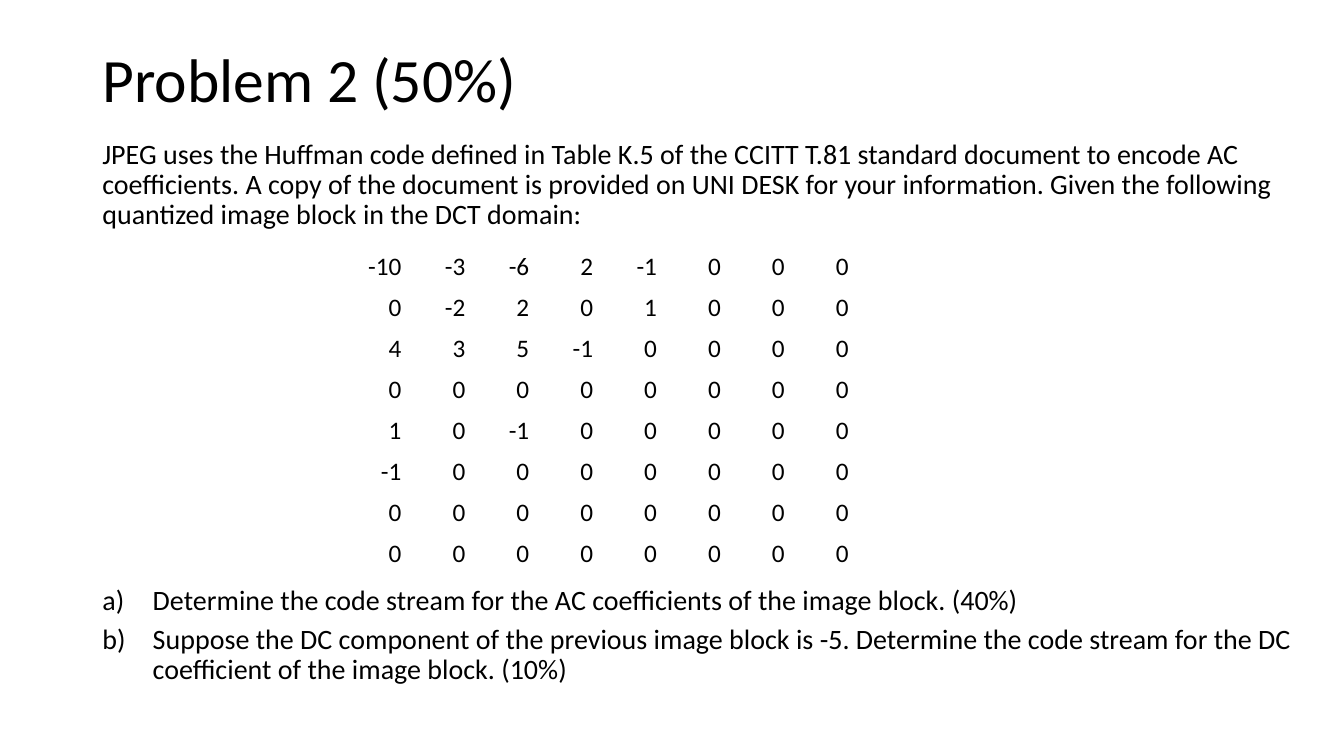
import dataclasses

import pptx
import pptx.dml.color
import pptx.enum.text
import pptx.oxml
import pptx.oxml.ns
import pptx.util

Cm = pptx.util.Cm
Pt = pptx.util.Pt
Align = pptx.enum.text.PP_ALIGN
Anchor = pptx.enum.text.MSO_ANCHOR


@dataclasses.dataclass(frozen=True)
class Theme:
    font: str = "Calibri"
    text: str = "000000"
    title_size: int = 44
    body_size: int = 20
    table_size: int = 18


theme = Theme()


def write_text(frame, *lines, size, align=Align.LEFT, anchor=Anchor.TOP,
               line_spacing=None, space_after=0, lettered=False):
    """Fill a text frame with one paragraph per line, lettered a), b) on request."""
    frame.word_wrap = True
    frame.vertical_anchor = anchor
    for index, line in enumerate(lines):
        paragraph = frame.paragraphs[0] if index == 0 else frame.add_paragraph()
        paragraph.alignment = align
        paragraph.line_spacing = line_spacing
        paragraph.space_after = Pt(space_after)
        run = paragraph.add_run()
        run.text = line
        run.font.name = theme.font
        run.font.size = Pt(size)
        run.font.color.rgb = pptx.dml.color.RGBColor.from_string(theme.text)
        if lettered:
            properties = paragraph._p.get_or_add_pPr()
            properties.set("marL", str(Cm(1.27)))
            properties.set("indent", str(-Cm(1.27)))
            numbering = pptx.oxml.parse_xml(
                f'<a:buAutoNum {pptx.oxml.ns.nsdecls("a")} type="alphaLcParenR"/>')
            properties.append(numbering)


presentation = pptx.Presentation()
presentation.slide_width = Cm(33.87)
presentation.slide_height = Cm(19.05)
slide = presentation.slides.add_slide(presentation.slide_layouts[6])

left = Cm(2.33)
body_width = Cm(30.78)

# Heading and introduction
title = slide.shapes.add_textbox(left, Cm(1.01), Cm(29.21), Cm(2.13))
write_text(title.text_frame, "Problem 2 (50%)", size=theme.title_size,
           anchor=Anchor.MIDDLE, line_spacing=0.9)

introduction = slide.shapes.add_textbox(left, Cm(3.41), body_width, Cm(2.6))
write_text(
    introduction.text_frame,
    "JPEG uses the Huffman code defined in Table K.5 of the CCITT T.81 standard "
    "document to encode AC coefficients. A copy of the document is provided on "
    "UNI DESK for your information. Given the following quantized image block in "
    "the DCT domain:",
    size=theme.body_size, line_spacing=0.9, space_after=6)

# Quantized image block
coefficients = [
    [-10, -3, -6, 2, -1, 0, 0, 0],
    [0, -2, 2, 0, 1, 0, 0, 0],
    [4, 3, 5, -1, 0, 0, 0, 0],
    [0, 0, 0, 0, 0, 0, 0, 0],
    [1, 0, -1, 0, 0, 0, 0, 0],
    [-1, 0, 0, 0, 0, 0, 0, 0],
    [0, 0, 0, 0, 0, 0, 0, 0],
    [0, 0, 0, 0, 0, 0, 0, 0],
]
block_size = len(coefficients)
block = slide.shapes.add_table(
    block_size, block_size, Cm(8.76), Cm(6.22),
    Cm(1.61) * block_size, Cm(1.03) * block_size).table
block.first_row = False
block.horz_banding = False
for row_index, row in enumerate(coefficients):
    for column_index, coefficient in enumerate(row):
        cell = block.cell(row_index, column_index)
        cell.fill.background()
        write_text(cell.text_frame, str(coefficient), size=theme.table_size,
                   align=Align.RIGHT)

# Questions
questions = slide.shapes.add_textbox(left, Cm(14.66), body_width, Cm(3.2))
write_text(
    questions.text_frame,
    "Determine the code stream for the AC coefficients of the image block. (40%)",
    "Suppose the DC component of the previous image block is -5. Determine the "
    "code stream for the DC coefficient of the image block. (10%)",
    size=theme.body_size, line_spacing=0.9, space_after=6, lettered=True)

presentation.save("out.pptx")
